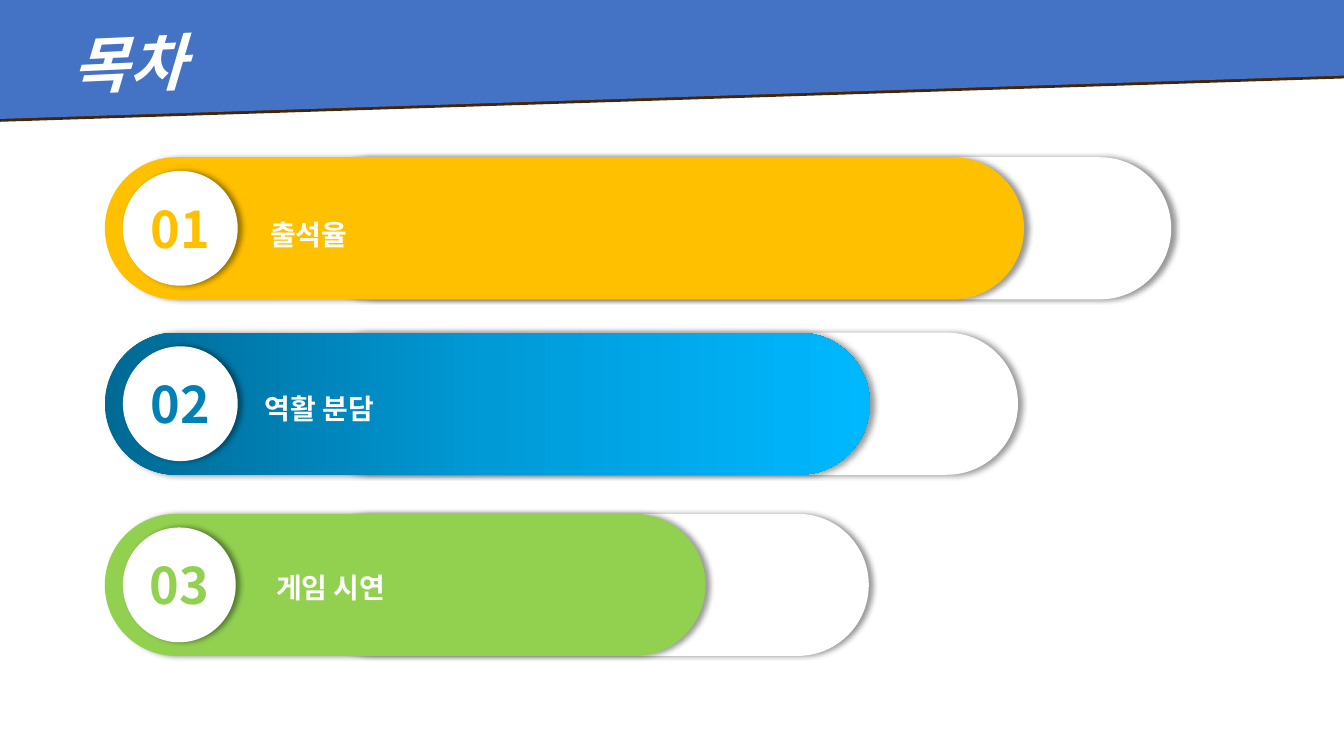
from copy import deepcopy
from dataclasses import dataclass
from pptx import Presentation
from pptx.dml.color import RGBColor as RGB
from pptx.enum.shapes import MSO_SHAPE as SHAPE
from pptx.enum.text import MSO_ANCHOR as ANCHOR, MSO_AUTO_SIZE as FIT, PP_ALIGN as ALIGN
from pptx.oxml.ns import qn
from pptx.util import Pt
from lxml.etree import SubElement as sub


@dataclass(frozen=True)
class Theme:
    font: str = "Noto Sans CJK KR"
    white: str = "FFFFFF"
    band: str = "4472C4"
    edge: str = "462602"
    shade: str = "000000"
    head: int = 44
    digit: int = 36
    label: int = 20


theme = Theme()
title = "목차"
band = [(0, 0), (960, 0), (960, 54), (-1.4, 85)]
blues = ["006994", "009AD7", "00B8FF"]
rows = [
    dict(num="01", text="출석율", top=112.3, fill=["FFC000"], ink="FFC000",
         bar=656.6, track=622.8, ring=82, label=(185.8, 27.4, 324)),
    dict(num="02", text="역활 분담", top=237.6, fill=blues, ink="0080B5",
         bar=546.5, track=513.4, ring=82, label=(182.2, 26.6, 147)),
    dict(num="03", text="게임 시연", top=367, fill=["92D050"], ink="92D050",
         bar=429.1, track=406.8, ring=80.6, label=(190.1, 25.2, 242)),
]
tall, disc = 101.5, 82
left, inset, start = 74.9, 12.9, 213.8


def paint(shape, hues):
    fill = shape.fill
    if len(hues) == 1:
        fill.solid()
        fill.fore_color.rgb = RGB.from_string(hues[0])
        return
    fill.gradient()
    fill.gradient_angle = 0
    stops = shape._element.spPr.find(".//" + qn("a:gsLst"))
    while len(stops) < len(hues):
        stops.append(deepcopy(stops[-1]))
    for i, (stop, hue) in enumerate(zip(fill.gradient_stops, hues)):
        stop.color.rgb = RGB.from_string(hue)
        stop.position = i / (len(hues) - 1)


def shadow(shape, hue=theme.shade, alpha=40, blur=4, dist=3, angle=0):
    shape.shadow.inherit = False
    glow = sub(shape._element.spPr.find(qn("a:effectLst")), qn("a:outerShdw"),
               blurRad=str(Pt(blur)), dist=str(Pt(dist)), dir=str(angle * 60000),
               algn="ctr", rotWithShape="0")
    tone = sub(glow, qn("a:srgbClr"), val=hue)
    sub(tone, qn("a:alpha"), val=str(alpha * 1000))


def finish(shape, hues, **cast):
    paint(shape, hues)
    shape.line.fill.background()
    shadow(shape, **cast)
    return shape


def place(kind, x, y, w, h, hues):
    return finish(slide.shapes.add_shape(kind, Pt(x), Pt(y), Pt(w), Pt(h)), hues)


def pill(x, y, w, hues):
    place(SHAPE.ROUNDED_RECTANGLE, x, y, w, tall, hues).adjustments[0] = 0.5


def write(shape, text, size, hue, align, anchor, italic=None):
    frame = shape.text_frame
    frame.vertical_anchor = anchor
    para = frame.paragraphs[0]
    para.alignment = align
    run = para.add_run()
    run.text = text
    font = run.font
    font.name, font.size, font.bold, font.italic = theme.font, Pt(size), True, italic
    font.color.rgb = RGB.from_string(hue)
    sub(run._r.rPr, qn("a:ea"), typeface=theme.font)
    return frame, para


deck = Presentation()
deck.slide_width, deck.slide_height = Pt(960), Pt(540)
slide = deck.slides.add_slide(deck.slide_layouts[5])

pen = slide.shapes.build_freeform(Pt(band[0][0]), Pt(band[0][1]))
pen.add_line_segments([(Pt(x), Pt(y)) for x, y in band[1:]])
finish(pen.convert_to_shape(), [theme.band], hue=theme.edge, alpha=100, blur=0, dist=2, angle=90)

head = slide.shapes.title
head.left, head.top, head.width, head.height = Pt(43.9), Pt(14.4), Pt(107.3), Pt(60.5)
head.rotation = 357.3
frame, _ = write(head, title, theme.head, theme.white, ALIGN.LEFT, ANCHOR.TOP, True)
frame.auto_size = FIT.NONE
slide.shapes._spTree.append(head._element)

for row in rows:
    top = row["top"]
    pill(start, top, row["track"], [theme.white])
    pill(left, top, row["bar"], row["fill"])
    ring = place(SHAPE.OVAL, left + inset, top + (tall - disc) / 2, row["ring"], disc, [theme.white])
    write(ring, row["num"], theme.digit, row["ink"], ALIGN.CENTER, ANCHOR.MIDDLE)
    x, drop, wide = row["label"]
    box = slide.shapes.add_textbox(Pt(x), Pt(top + drop), Pt(wide), Pt(38.9))
    frame, para = write(box, row["text"], theme.label, theme.white, ALIGN.JUSTIFY, ANCHOR.TOP)
    frame.word_wrap = True
    frame.auto_size = FIT.SHAPE_TO_FIT_TEXT
    para.line_spacing = 1.5

deck.save("out.pptx")
